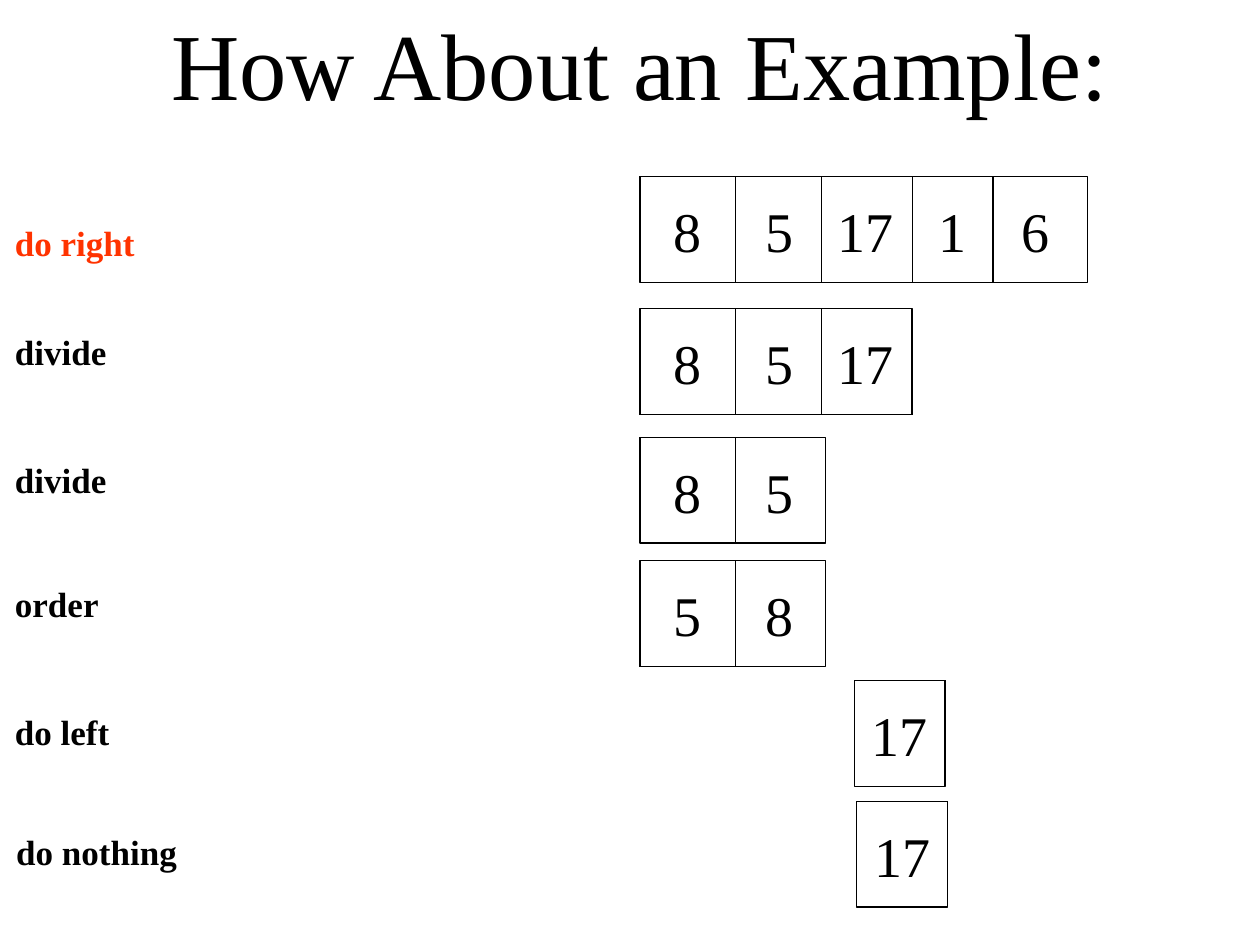
"""Build a slide that traces a merge sort step by step."""
from dataclasses import dataclass

from lxml import etree
from pptx import Presentation
from pptx.dml.color import RGBColor
from pptx.enum.shapes import MSO_CONNECTOR, MSO_SHAPE
from pptx.enum.text import MSO_AUTO_SIZE
from pptx.oxml.ns import qn
from pptx.util import Inches, Pt

STRAIGHT = MSO_CONNECTOR.STRAIGHT
RECTANGLE = MSO_SHAPE.RECTANGLE
FIT_SHAPE = MSO_AUTO_SIZE.SHAPE_TO_FIT_TEXT

COLORS = {"ink": "000000", "active": "FF3300"}
BOX_HEIGHT = 0.84
ARRAY_LEFT = 5.08
ARRAY_DIVIDERS = (0, 0.76, 1.44, 2.16, 2.8)
ARRAY_NUMBERS = (0.17, 0.9, 1.47, 2.27, 2.93)
SINGLE_DIVIDERS = (0, 0.72)
SINGLE_NUMBERS = (0.04,)


@dataclass
class Step:
    """One step of the sort: its label and its boxed numbers."""
    label: str
    label_box: tuple
    top: float
    numbers: tuple
    width: float
    divider_count: int = 2
    left: float = ARRAY_LEFT
    color: str = "ink"


STEPS = (
    Step("do right", (0.02, 1.71, 1.17, 0.44), 1.4,
         ("8", "5", "17", "1", "6"), 3.55, 5, color="active"),
    Step("divide", (0.02, 2.57, 0.94, 0.44), 2.45, ("8", "5", "17"), 2.16, 4),
    Step("divide", (0.02, 3.59, 0.94, 0.44), 3.47, ("8", "5"), 1.47),
    Step("order", (0.02, 4.57, 0.88, 0.44), 4.45, ("5", "8"), 1.47),
    Step("do left", (0.02, 5.59, 0.97, 0.44), 5.4, ("17",), 0.72, left=6.78),
    Step("do nothing", (0.03, 6.54, 1.49, 0.44), 6.36, ("17",), 0.72, left=6.8),
)


def write_text(shape, text, size=32, color="ink", bold=False):
    """Put one formatted line of text into a shape."""
    frame = shape.text_frame
    frame.word_wrap = False
    frame.auto_size = FIT_SHAPE
    run = frame.paragraphs[0].add_run()
    run.text = text
    run.font.name = "Times New Roman"
    run.font.size = Pt(size)
    run.font.bold = bold
    run.font.color.rgb = RGBColor.from_string(COLORS[color])


class SlideBuilder:
    """Hold the slide and the outline style, and draw each kind of element."""

    def __init__(self, slide, line_width=0.75):
        """Keep the slide and the line width in points."""
        self.slide = slide
        self.line_width = line_width

    def outline(self, shape):
        """Apply the line style to a shape or connector."""
        shape.line.color.rgb = RGBColor.from_string(COLORS["ink"])
        shape.line.width = Pt(self.line_width)

    def text(self, text, box, **style):
        """Add a text box."""
        shape = self.slide.shapes.add_textbox(*map(Inches, box))
        write_text(shape, text, **style)

    def divider(self, left, top):
        """Add a vertical line as tall as a box."""
        ends = (left, top, left, top + BOX_HEIGHT)
        connector = self.slide.shapes.add_connector(STRAIGHT, *map(Inches, ends))
        self.outline(connector)
        etree.SubElement(connector.element.spPr, qn("a:effectLst"))

    def frame(self, left, top, width):
        """Add an unfilled rectangle."""
        box = (left, top, width, BOX_HEIGHT)
        shape = self.slide.shapes.add_shape(RECTANGLE, *map(Inches, box))
        shape.shadow.inherit = False
        shape.fill.background()
        self.outline(shape)

    def step(self, step):
        """Add the dividers, numbers, frame and label of one step."""
        is_single = len(step.numbers) == 1
        dividers = SINGLE_DIVIDERS if is_single else ARRAY_DIVIDERS
        offsets = SINGLE_NUMBERS if is_single else ARRAY_NUMBERS
        for offset in dividers[:step.divider_count]:
            self.divider(step.left + offset, step.top)
        for number, offset in zip(step.numbers, offsets):
            width = 0.2 + 0.23 * len(number)
            self.text(number, (step.left + offset, step.top + 0.11, width, 0.64))
        self.frame(step.left, step.top, step.width)
        self.text(step.label, step.label_box, size=20, color=step.color, bold=True)


def main():
    """Create and save the presentation."""
    presentation = Presentation()
    presentation.slide_width = Inches(10)
    presentation.slide_height = Inches(7.5)
    slide = presentation.slides.add_slide(presentation.slide_layouts[6])
    builder = SlideBuilder(slide)
    builder.text("How About an Example:", (1.26, 0, 7.68, 1), size=54)
    for step in STEPS:
        builder.step(step)
    presentation.save("out.pptx")


if __name__ == "__main__":
    main()
